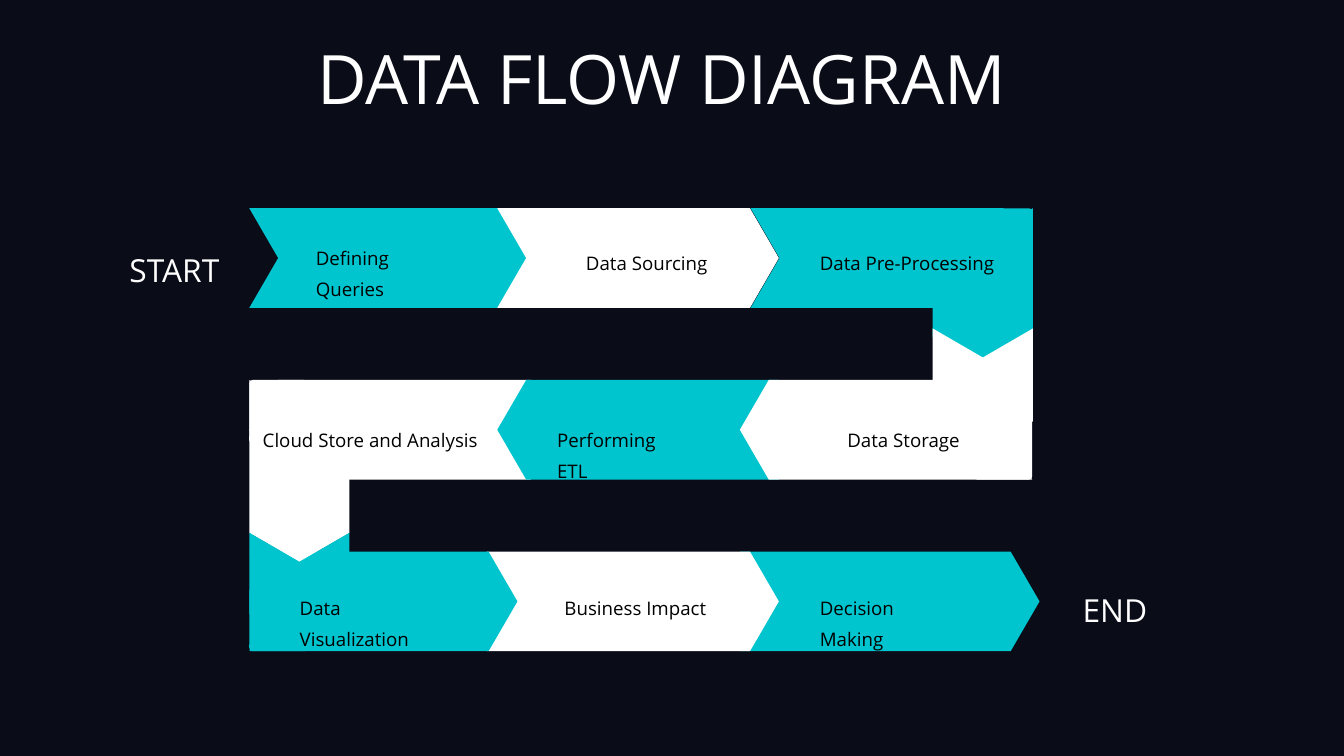
"""Build a winding data flow slide of chevrons with a title and labels."""
from dataclasses import dataclass
from typing import NamedTuple

from pptx import Presentation
from pptx import util as u
from pptx.dml.color import RGBColor
from pptx.enum import shapes, text


@dataclass(frozen=True)
class Theme:
    back: str = "0A0C18"
    teal: str = "00C5CE"
    white: str = "FFFFFF"
    black: str = "000000"
    font: str = "Open Sans"
    head: int = 73
    end: int = 34
    body: int = 20


class Tile(NamedTuple):
    col: float
    row: float
    cols: float
    rows: float
    tint: str
    turn: int = 0


class Patch(NamedTuple):
    col: float
    row: float
    tint: str


class Label(NamedTuple):
    words: str
    col: float
    row: float
    cols: float


T = Theme()
WIDE, HIGH = u.Inches(20), u.Inches(11.25)
COL = WIDE / 100
TOP, ROW = HIGH * 0.2755, HIGH * 0.2271
BAND = 0.58
SIDE = 7.45
LEFT, RIGHT = 18.55, 69.4
DOWN, BACK = 90, 180

PARTS = [
    Tile(LEFT, 0, 20.95, BAND, T.teal),
    Tile(37, 0, 20.95, BAND, T.white),
    Tile(55.85, 0, 20.95, BAND, T.teal),
    Tile(RIGHT, 0, SIDE, 0.92, T.teal, DOWN),
    Patch(72.45, 0, T.teal),
    Tile(LEFT, 1, 20.95, BAND, T.white, BACK),
    Tile(37, 1, 20.95, BAND, T.teal, BACK),
    Tile(55.05, 1, 21.75, BAND, T.white, BACK),
    Tile(RIGHT, 0.7, SIDE, 0.71, T.white, DOWN),
    Patch(72.45, 1.21, T.white),
    Patch(LEFT, 1, T.white),
    Tile(55.05, 2, 22.3, BAND, T.teal),
    Tile(36.2, 2, 21.75, BAND, T.white),
    Tile(LEFT, 2, 19.95, BAND, T.teal),
    Patch(LEFT, 2.21, T.teal),
    Tile(LEFT, 1, SIDE, 1.06, T.white, DOWN),
    Tile(LEFT, 1.89, SIDE, 0.64, T.teal, DOWN),
]

ENDS = [Label("START", 9.55, 0.16, 6.85), Label("END", 79.9, 2.14, 6.1)]

STEPS = [
    Label("Defining Queries", 23.5, 0.17, 10.6),
    Label("Data Sourcing", 43.6, 0.2, 9.15),
    Label("Data Pre-Processing", 61, 0.2, 13.1),
    Label("Data Storage", 63.05, 1.23, 8.5),
    Label("Performing ETL", 41.45, 1.23, 9.7),
    Label("Cloud Store and Analysis", 19.55, 1.23, 17.05),
    Label("Data Visualization", 22.3, 2.21, 11.3),
    Label("Business Impact", 42, 2.21, 11),
    Label("Decision Making", 61, 2.21, 10.4),
]


def paint(shape, tint: str) -> None:
    """Give a shape a flat fill with no line or shadow."""
    shape.shadow.inherit = False
    shape.fill.solid()
    shape.fill.fore_color.rgb = RGBColor.from_string(tint)
    shape.line.fill.background()


def draw_tile(slide, tile: Tile) -> None:
    """Draw a chevron that fills its grid area once turned."""
    wide, high = tile.cols * COL, tile.rows * ROW
    midx, midy = tile.col * COL + wide / 2, TOP + tile.row * ROW + high / 2
    if tile.turn == DOWN:
        wide, high = high, wide
    box = (midx - wide / 2, midy - high / 2, wide, high)
    shape = slide.shapes.add_shape(shapes.MSO_SHAPE.CHEVRON, *map(int, box))
    shape.adjustments[0] = 0.29
    shape.rotation = tile.turn
    paint(shape, tile.tint)


def draw_patch(slide, patch: Patch) -> None:
    """Draw a rounded block that fills a corner notch."""
    box = (patch.col * COL, TOP + patch.row * ROW, 4.35 * COL, 0.37 * ROW)
    shape = slide.shapes.add_shape(
        shapes.MSO_SHAPE.ROUNDED_RECTANGLE, *map(int, box))
    shape.adjustments[0] = 0.06
    paint(shape, patch.tint)


def write(shape, words: str, size: int, tint: str, align, space: float) -> None:
    """Set the text of a shape as one paragraph without margins."""
    frame = shape.text_frame
    frame.text = words
    frame.word_wrap = True
    frame.auto_size = text.MSO_AUTO_SIZE.NONE
    frame.vertical_anchor = text.MSO_ANCHOR.TOP
    frame.margin_left = frame.margin_right = 0
    frame.margin_top = frame.margin_bottom = 0
    para = frame.paragraphs[0]
    para.alignment, para.line_spacing = align, space
    para.font.name, para.font.size = T.font, u.Pt(size)
    para.font.color.rgb = RGBColor.from_string(tint)


def draw_label(slide, label: Label, size: int, tint: str, align) -> None:
    """Add a text box at its place on the grid."""
    high = u.Pt(size) * 1.33
    box = (label.col * COL, TOP + label.row * ROW, label.cols * COL, high)
    shape = slide.shapes.add_textbox(*map(int, box))
    write(shape, label.words, size, tint, align, 1.4)


def main() -> None:
    """Build and save the slide."""
    deck = Presentation()
    deck.slide_width, deck.slide_height = WIDE, HIGH
    slide = deck.slides.add_slide(deck.slide_layouts[5])
    slide.background.fill.solid()
    slide.background.fill.fore_color.rgb = RGBColor.from_string(T.back)

    mid, just = text.PP_ALIGN.CENTER, text.PP_ALIGN.JUSTIFY
    title = slide.shapes.title
    title.left, title.top = int(9.05 * COL), int(HIGH * 0.064)
    title.width, title.height = int(80.35 * COL), int(HIGH * 0.09)
    write(title, "DATA FLOW DIAGRAM", T.head, T.white, mid, 0.86)

    for part in PARTS:
        draw = draw_tile if isinstance(part, Tile) else draw_patch
        draw(slide, part)
    for label in ENDS:
        draw_label(slide, label, T.end, T.white, mid)
    for label in STEPS:
        draw_label(slide, label, T.body, T.black, just)
    deck.save("out.pptx")


if __name__ == "__main__":
    main()
